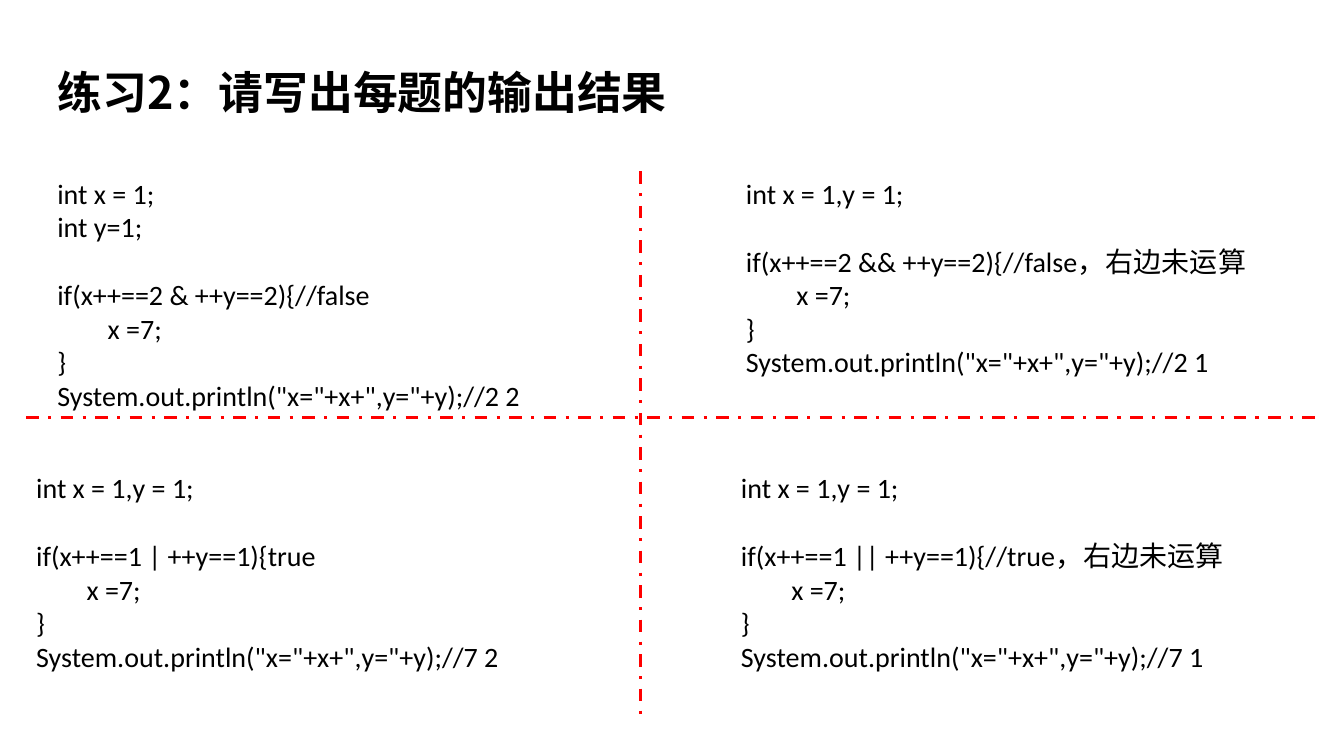
import pptx
import pptx.dml.color
import pptx.enum.dml
import pptx.enum.shapes
import pptx.enum.text
import pptx.oxml.ns
import pptx.util
from lxml import etree

Inches = pptx.util.Inches
Pt = pptx.util.Pt
BLACK = pptx.dml.color.RGBColor(0x00, 0x00, 0x00)
RED = pptx.dml.color.RGBColor(0xFF, 0x00, 0x00)
CHINESE_FONT = "Noto Sans CJK SC"
TITLE_FONT = {"name": CHINESE_FONT, "size": Pt(32), "bold": True}
CODE_FONT = {"name": "Calibri", "size": Pt(20), "bold": False}
BLANK_LINE = Pt(24.4)


class ExerciseSlide:
    """Holds the style and the current slide."""

    def __init__(self, deck):
        self.page = deck.slides.add_slide(deck.slide_layouts[5])

    def add_span(self, para, text, style):
        span = para.add_run()
        span.text = text
        for key, value in style.items():
            setattr(span.font, key, value)
        span.font.color.rgb = BLACK
        east_asian = etree.SubElement(span.font._element, pptx.oxml.ns.qn("a:ea"))
        east_asian.set("typeface", CHINESE_FONT)

    def title(self, text, left, top, width, height):
        box = self.page.shapes.title
        box.left, box.top = Inches(left), Inches(top)
        box.width, box.height = Inches(width), Inches(height)
        frame = box.text_frame
        frame.word_wrap = True
        frame.auto_size = pptx.enum.text.MSO_AUTO_SIZE.NONE
        frame.vertical_anchor = pptx.enum.text.MSO_ANCHOR.TOP
        para = frame.paragraphs[0]
        para.alignment = pptx.enum.text.PP_ALIGN.LEFT
        self.add_span(para, text, TITLE_FONT)

    def code(self, declarations, condition, result, left, top, width, height):
        box = self.page.shapes.add_textbox(
            Inches(left), Inches(top), Inches(width), Inches(height))
        frame = box.text_frame
        frame.word_wrap = True
        lines = declarations + [
            f"if({condition}", "\tx =7;", "}",
            f'System.out.println("x="+x+",y="+y);//{result}']
        for number, line in enumerate(lines):
            para = frame.add_paragraph() if number else frame.paragraphs[0]
            if number == len(declarations):
                para.space_before = BLANK_LINE
            self.add_span(para, line, CODE_FONT)

    def divider(self, x1, y1, x2, y2):
        line = self.page.shapes.add_connector(
            pptx.enum.shapes.MSO_CONNECTOR.STRAIGHT,
            Inches(x1), Inches(y1), Inches(x2), Inches(y2))
        line.line.color.rgb = RED
        line.line.width = Pt(2.25)
        line.line.dash_style = pptx.enum.dml.MSO_LINE.DASH_DOT
        etree.SubElement(line._element.spPr, pptx.oxml.ns.qn("a:effectLst"))


def main():
    deck = pptx.Presentation()
    deck.slide_width, deck.slide_height = Inches(13.33), Inches(7.5)
    slide = ExerciseSlide(deck)

    slide.title("练习2：请写出每题的输出结果", 0.47, 0.59, 7.46, 0.64)

    # Upper exercises: & and &&
    both = ["int x = 1,y = 1;"]
    slide.code(["int x = 1;", "int y=1;"], "x++==2 & ++y==2){//false", "2 2",
               0.47, 1.7, 5.68, 2.46)
    slide.code(both, "x++==2 && ++y==2){//false，右边未运算", "2 1",
               7.3, 1.7, 5.77, 2.12)

    # Cross between the four exercises
    slide.divider(0.26, 4.14, 13.07, 4.14)
    slide.divider(6.35, 1.7, 6.35, 7.14)

    # Lower exercises: | and ||
    slide.code(both, "x++==1 | ++y==1){true", "7 2", 0.26, 4.62, 5.89, 2.12)
    slide.code(both, "x++==1 || ++y==1){//true，右边未运算", "7 1",
               7.25, 4.62, 5.62, 2.12)

    deck.save("out.pptx")


if __name__ == "__main__":
    main()
